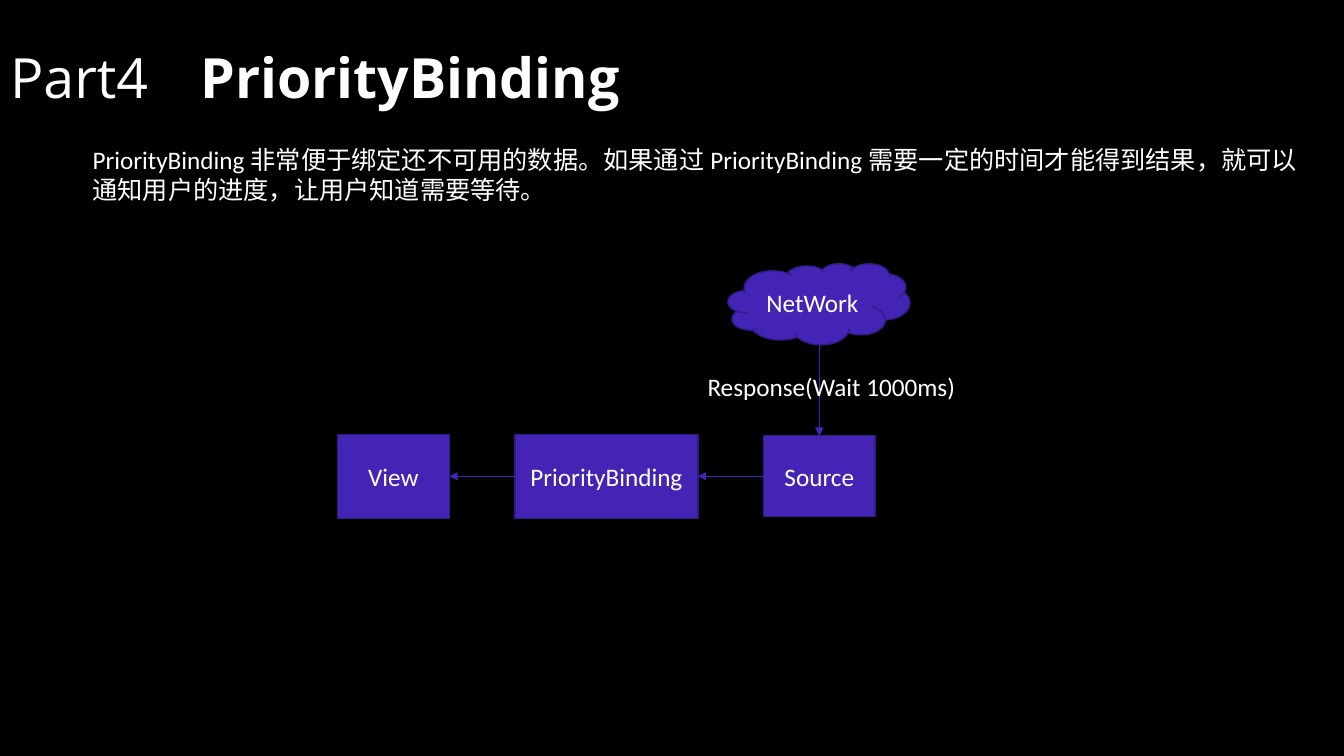
from pptx import Presentation
from pptx.dml.color import RGBColor
from pptx.enum.shapes import MSO_CONNECTOR, MSO_SHAPE
from pptx.enum.text import MSO_ANCHOR, MSO_AUTO_SIZE, PP_ALIGN
from pptx.oxml.ns import qn
from pptx.util import Pt
from lxml import etree

RECTANGLE, CLOUD = MSO_SHAPE.RECTANGLE, MSO_SHAPE.CLOUD
STRAIGHT = MSO_CONNECTOR.STRAIGHT
LEFT, CENTER = PP_ALIGN.LEFT, PP_ALIGN.CENTER
MIDDLE = MSO_ANCHOR.MIDDLE
FIT_SHAPE, NO_FIT = MSO_AUTO_SIZE.SHAPE_TO_FIT_TEXT, MSO_AUTO_SIZE.NONE
TITLE_ONLY = 5


def color(value):
    return RGBColor.from_string(value)


class Page:
    background, text_color = "000000", "FFFFFF"
    fill, outline = "4424B5", "321B86"
    title_font, body_font = "Open Sans", "Calibri"
    title_size, body_size = 39.6, 18

    def __init__(self, deck):
        self.slide = deck.slides.add_slide(deck.slide_layouts[TITLE_ONLY])
        backdrop = self.slide.background.fill
        backdrop.solid()
        backdrop.fore_color.rgb = color(self.background)

    def style(self, paragraph, font, size):
        for span in paragraph.runs:
            span.font.name = font
            span.font.size = Pt(size)
            span.font.color.rgb = color(self.text_color)

    def title(self, part, topic, left, top, width, height, topic_indent):
        """Place the part number, then the bold topic at a tab stop."""
        box = self.slide.shapes.title
        box.left, box.top, box.width, box.height = map(Pt, (left, top, width, height))
        frame = box.text_frame
        frame.auto_size = NO_FIT
        frame.vertical_anchor = MIDDLE
        paragraph = frame.paragraphs[0]
        tabs = etree.SubElement(paragraph._p.get_or_add_pPr(), qn("a:tabLst"))
        etree.SubElement(tabs, qn("a:tab"), pos=str(Pt(topic_indent)), algn="l")
        paragraph.alignment = LEFT
        paragraph.line_spacing = 0.9
        paragraph.add_run().text = part + "\t"
        topic_span = paragraph.add_run()
        topic_span.text = topic
        topic_span.font.bold = True
        self.style(paragraph, self.title_font, self.title_size)

    def text(self, content, left, top, width, height):
        box = self.slide.shapes.add_textbox(*map(Pt, (left, top, width, height)))
        frame = box.text_frame
        frame.word_wrap = False
        frame.auto_size = FIT_SHAPE
        frame.text = content
        for paragraph in frame.paragraphs:
            paragraph.alignment = LEFT
            self.style(paragraph, self.body_font, self.body_size)

    def node(self, label, left, middle, width, height, preset=RECTANGLE):
        """Draw a labelled shape centred vertically on middle."""
        shape = self.slide.shapes.add_shape(
            preset, Pt(left), Pt(middle - height / 2), Pt(width), Pt(height))
        shape.shadow.inherit = False
        shape.fill.solid()
        shape.fill.fore_color.rgb = color(self.fill)
        shape.line.color.rgb = color(self.outline)
        shape.line.width = Pt(1)
        frame = shape.text_frame
        frame.vertical_anchor = MIDDLE
        frame.text = label
        paragraph = frame.paragraphs[0]
        paragraph.alignment = CENTER
        self.style(paragraph, self.body_font, self.body_size)
        return shape

    def arrow(self, start_x, start_y, end_x, end_y):
        """Draw an arrow between two points given in slide units."""
        connector = self.slide.shapes.add_connector(
            STRAIGHT, start_x, start_y, end_x, end_y)
        connector.line.color.rgb = color(self.fill)
        connector.line.width = Pt(0.5)
        etree.SubElement(connector.line._get_or_add_ln(), qn("a:tailEnd"), type="triangle")
        etree.SubElement(connector._element.spPr, qn("a:effectLst"))

    def arrow_left(self, source, target):
        middle = source.top + source.height // 2
        self.arrow(source.left, middle, target.left + target.width, middle)

    def arrow_down(self, source, target):
        center = target.left + target.width // 2
        self.arrow(center, source.top + source.height, center, target.top)


def main():
    deck = Presentation()
    deck.slide_width, deck.slide_height = Pt(960), Pt(540)
    page = Page(deck)

    page.title("Part4", "PriorityBinding", 0, 31.5, 453.6, 52.5, topic_indent=136)
    page.text("PriorityBinding非常便于绑定还不可用的数据。"
              "如果通过PriorityBinding需要一定的时间才能得到结果，就可以\n"
              "通知用户的进度，让用户知道需要等待。", 59, 99.4, 879, 51)

    row_middle, gap = 340.2, 47
    left = 241
    row = []
    for label, width, height in (("View", 80, 60),
                                 ("PriorityBinding", 130.5, 60),
                                 ("Source", 79.5, 58)):
        row.append(page.node(label, left, row_middle, width, height))
        left += width + gap
    view, binding, source = row
    network = page.node("NetWork", 520, 217.2, 130, 58, CLOUD)

    page.arrow_down(network, source)
    page.arrow_left(source, binding)
    page.arrow_left(binding, view)
    page.text("Response(Wait 1000ms)", 498.3, 261.4, 193.7, 29)

    deck.save("out.pptx")


if __name__ == "__main__":
    main()
